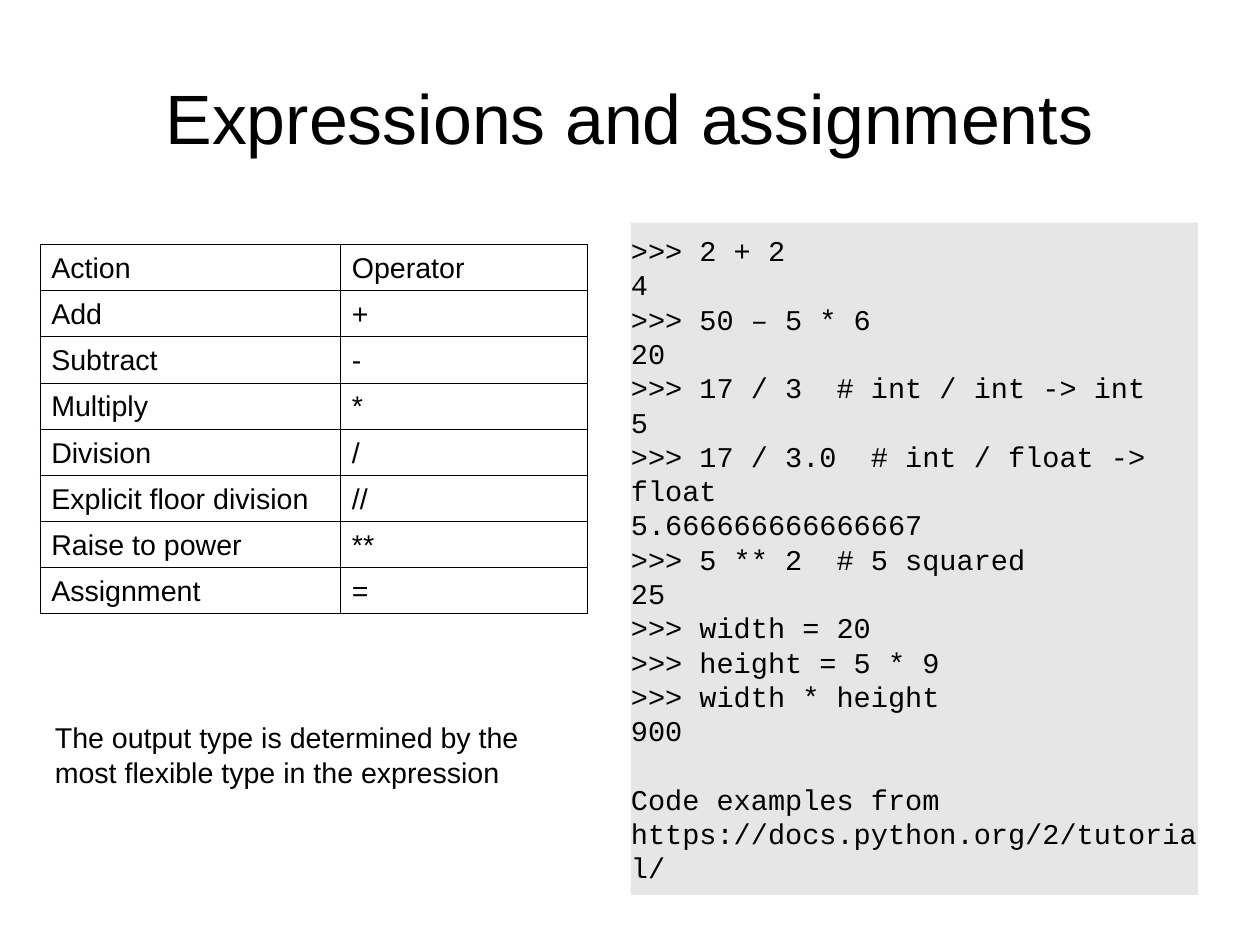
import pptx
import pptx.util
import pptx.dml.color
import pptx.enum.shapes
import pptx.enum.text
from lxml import etree
from pptx.util import Cm

ANCHOR = pptx.enum.text.MSO_ANCHOR
ALIGN = pptx.enum.text.PP_ALIGN
NS = "http://schemas.openxmlformats.org/drawingml/2006/main"

CODE = """>>> 2 + 2
4
>>> 50 – 5 * 6
20
>>> 17 / 3  # int / int -> int
5
>>> 17 / 3.0  # int / float -> float
5.666666666666667
>>> 5 ** 2  # 5 squared
25
>>> width = 20
>>> height = 5 * 9
>>> width * height
900"""
CREDIT = "Code examples from https://docs.python.org/2/tutorial/"
ROWS = [
    ("Action", "Operator"),
    ("Add", "+"),
    ("Subtract", "-"),
    ("Multiply", "*"),
    ("Division", "/"),
    ("Explicit floor division", "//"),
    ("Raise to power", "**"),
    ("Assignment", "="),
]


def color(code):
    return pptx.dml.color.RGBColor.from_string(code)


class Deck:
    ink = "000000"
    shade = "E6E6E6"
    sans = "Arial"
    mono = "Courier New"
    size = 18
    pitch = pptx.util.Pt(21.6)

    def __init__(self, slide):
        self.slide = slide

    def words(self, frame, lines, face=sans, size=size, pitch=pitch, align=ALIGN.LEFT):
        for i, line in enumerate(lines):
            para = frame.add_paragraph() if i else frame.paragraphs[0]
            para.text = line
            para.alignment = align
            para.line_spacing = pitch
            para.font.name = face
            para.font.size = pptx.util.Pt(size)
            para.font.color.rgb = color(self.ink)

    def setup(self, frame, anchor, inset):
        frame.word_wrap = True
        frame.vertical_anchor = anchor
        frame.margin_left = frame.margin_right = Cm(inset)
        frame.margin_top = frame.margin_bottom = Cm(inset / 2)

    def label(self, place, text, anchor=ANCHOR.TOP, inset=0.25, **style):
        box = self.slide.shapes.add_textbox(*map(Cm, place))
        self.setup(box.text_frame, anchor, inset)
        self.words(box.text_frame, [text], **style)

    def code(self, place, lines, credit):
        kind = pptx.enum.shapes.MSO_SHAPE.RECTANGLE
        box = self.slide.shapes.add_shape(kind, *map(Cm, place))
        box.shadow.inherit = False
        box.fill.solid()
        box.fill.fore_color.rgb = color(self.shade)
        box.line.fill.background()
        frame = box.text_frame
        self.setup(frame, ANCHOR.MIDDLE, 0)
        self.words(frame, [*lines, credit], face=self.mono)
        frame.paragraphs[-1].space_before = self.pitch

    def border(self, cell):
        props = cell._tc.get_or_add_tcPr()
        for i, side in enumerate(("lnL", "lnR", "lnT", "lnB")):
            line = etree.Element(f"{{{NS}}}{side}", w="7200")
            fill = etree.SubElement(line, f"{{{NS}}}solidFill")
            etree.SubElement(fill, f"{{{NS}}}srgbClr", val=self.ink)
            props.insert(i, line)

    def table(self, left, top, widths, height, rows):
        place = left, top, sum(widths), height * len(rows)
        table = self.slide.shapes.add_table(
            len(rows), len(widths), *map(Cm, place)).table
        table.first_row = table.horz_banding = False
        for column, width in zip(table.columns, widths):
            column.width = Cm(width)
        for row, texts in zip(table.rows, rows):
            row.height = Cm(height)
            for cell, text in zip(row.cells, texts):
                cell.fill.background()
                cell.margin_left = cell.margin_right = Cm(0.25)
                cell.margin_top = cell.margin_bottom = Cm(0.13)
                self.words(cell.text_frame, [text])
                self.border(cell)


def main():
    show = pptx.Presentation()
    show.slide_width, show.slide_height = Cm(28), Cm(21)
    deck = Deck(show.slides.add_slide(show.slide_layouts[6]))
    deck.label((1.4, 0.84, 25.2, 3.51), "Expressions and assignments",
               anchor=ANCHOR.MIDDLE, inset=0, size=44, pitch=1.0,
               align=ALIGN.CENTER)
    deck.code((14.02, 4.95, 12.6, 14.94), CODE.splitlines(), CREDIT)
    deck.table(0.89, 5.44, (6.68, 5.49), 1.02, ROWS)
    deck.label((0.97, 15.88, 12.04, 1.68),
               "The output type is determined by the most flexible type in the expression")
    show.save("out.pptx")


if __name__ == "__main__":
    main()
